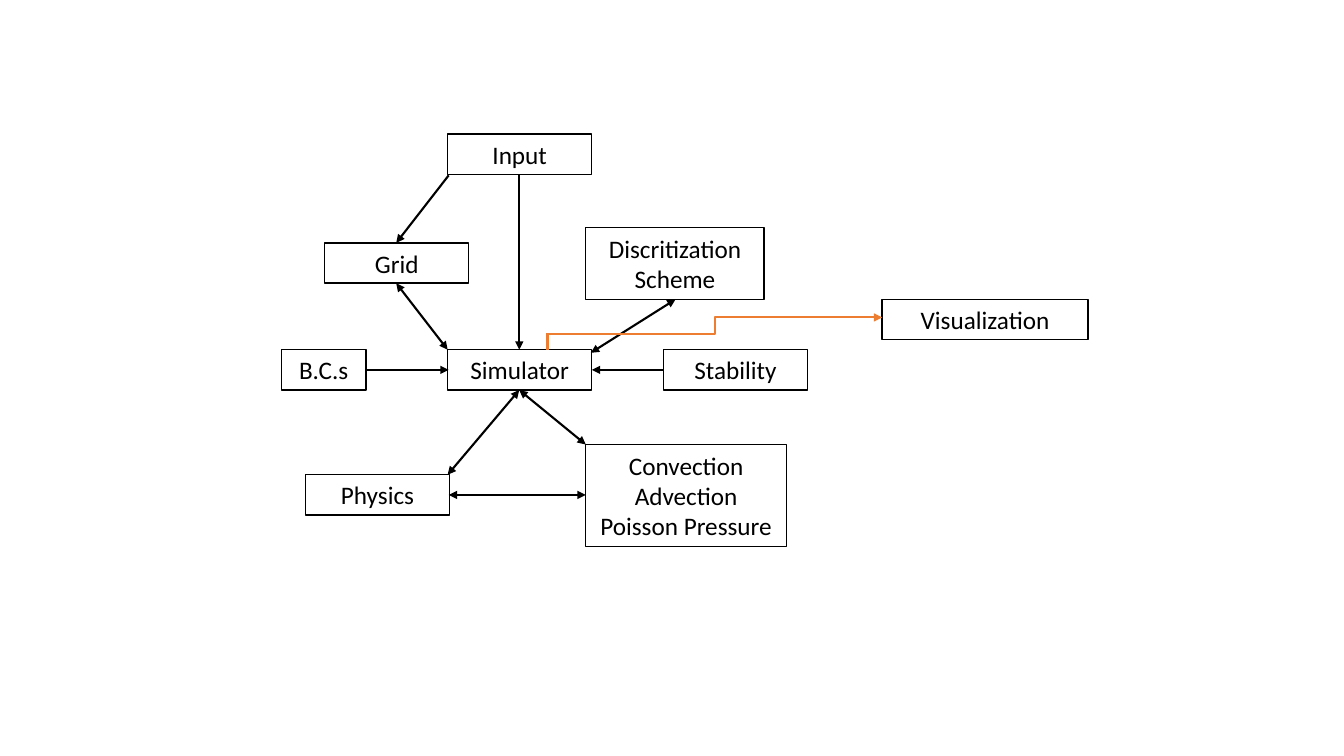
"""Build a slide showing how the parts of a flow simulator connect."""
from lxml import etree
from pptx import Presentation
from pptx.dml.color import RGBColor
from pptx.enum.dml import MSO_LINE
from pptx.enum.shapes import MSO_CONNECTOR, MSO_SHAPE
from pptx.enum.text import MSO_ANCHOR, MSO_AUTO_SIZE, PP_ALIGN
from pptx.oxml.ns import qn
from pptx.util import Inches, Pt

BLACK = RGBColor(0x00, 0x00, 0x00)
WHITE = RGBColor(0xFF, 0xFF, 0xFF)
ORANGE = RGBColor(0xED, 0x7D, 0x31)
RECTANGLE = MSO_SHAPE.RECTANGLE
STRAIGHT, ELBOW = MSO_CONNECTOR.STRAIGHT, MSO_CONNECTOR.ELBOW
SOLID = MSO_LINE.SOLID
MIDDLE = MSO_ANCHOR.MIDDLE
GROW = MSO_AUTO_SIZE.SHAPE_TO_FIT_TEXT
CENTER = PP_ALIGN.CENTER
FORWARD, BOTH, PLAIN = ("tailEnd",), ("headEnd", "tailEnd"), ()

presentation = Presentation()
presentation.slide_width, presentation.slide_height = Inches(13.33), Inches(7.5)
slide = presentation.slides.add_slide(presentation.slide_layouts[6])


def add_module(text, left, top, width=1.43, height=0.4, size=18, font="Calibri", color=BLACK):
    module = slide.shapes.add_shape(
        RECTANGLE, Inches(left), Inches(top), Inches(width), Inches(height))
    module.shadow.inherit = False
    module.fill.solid()
    module.fill.fore_color.rgb = WHITE
    module.line.color.rgb = BLACK
    module.line.width = Pt(1)
    frame = module.text_frame
    frame.word_wrap = True
    frame.auto_size = GROW
    frame.vertical_anchor = MIDDLE
    frame.text = text
    for paragraph in frame.paragraphs:
        paragraph.alignment = CENTER
        for run in paragraph.runs:
            run.font.name, run.font.size = font, Pt(size)
            run.font.color.rgb = color


def add_link(start, end, arrows=FORWARD, color=BLACK, route=STRAIGHT):
    link = slide.shapes.add_connector(route, *map(Inches, start + end))
    link.line.color.rgb = color
    link.line.width = Pt(1.5)
    link.line.dash_style = SOLID
    outline = link.line._get_or_add_ln()
    for arrow in arrows:
        etree.SubElement(outline, qn("a:" + arrow), type="triangle")
    etree.SubElement(link._element.spPr, qn("a:effectLst"))


add_module("Simulator", 4.44, 3.47)
add_module("Grid", 3.22, 2.41)
add_module("Input", 4.44, 1.33)
add_module("Discritization Scheme", 5.81, 2.26, width=1.77, height=0.71)
add_module("Convection\nAdvection\nPoisson Pressure", 5.81, 4.41, width=1.99, height=1.01)
add_module("B.C.s", 2.79, 3.47, width=0.84)
add_module("Physics", 3.03, 4.71)
add_module("Stability", 6.58, 3.47)
add_module("Visualization", 8.75, 2.97, width=2.04)

simulator_top, simulator_bottom = (5.15, 3.47), (5.15, 3.87)
add_link((5.15, 1.74), simulator_top)
add_link((3.93, 2.81), (4.44, 3.47), BOTH)
add_link((3.62, 3.67), (4.45, 3.67))
add_link((6.7, 2.97), (5.86, 3.5), BOTH)
add_link((4.45, 1.74), (3.93, 2.41))
add_link((6.58, 3.67), (5.87, 3.67))
add_link(simulator_bottom, (4.44, 4.71), BOTH)
add_link(simulator_bottom, (5.81, 4.41), BOTH)
add_link((4.45, 4.91), (5.81, 4.91), BOTH)
add_link((5.43, 3.31), (8.75, 3.15), color=ORANGE, route=ELBOW)
add_link((5.43, 3.47), (5.43, 3.3), PLAIN, color=ORANGE)

presentation.save("out.pptx")
